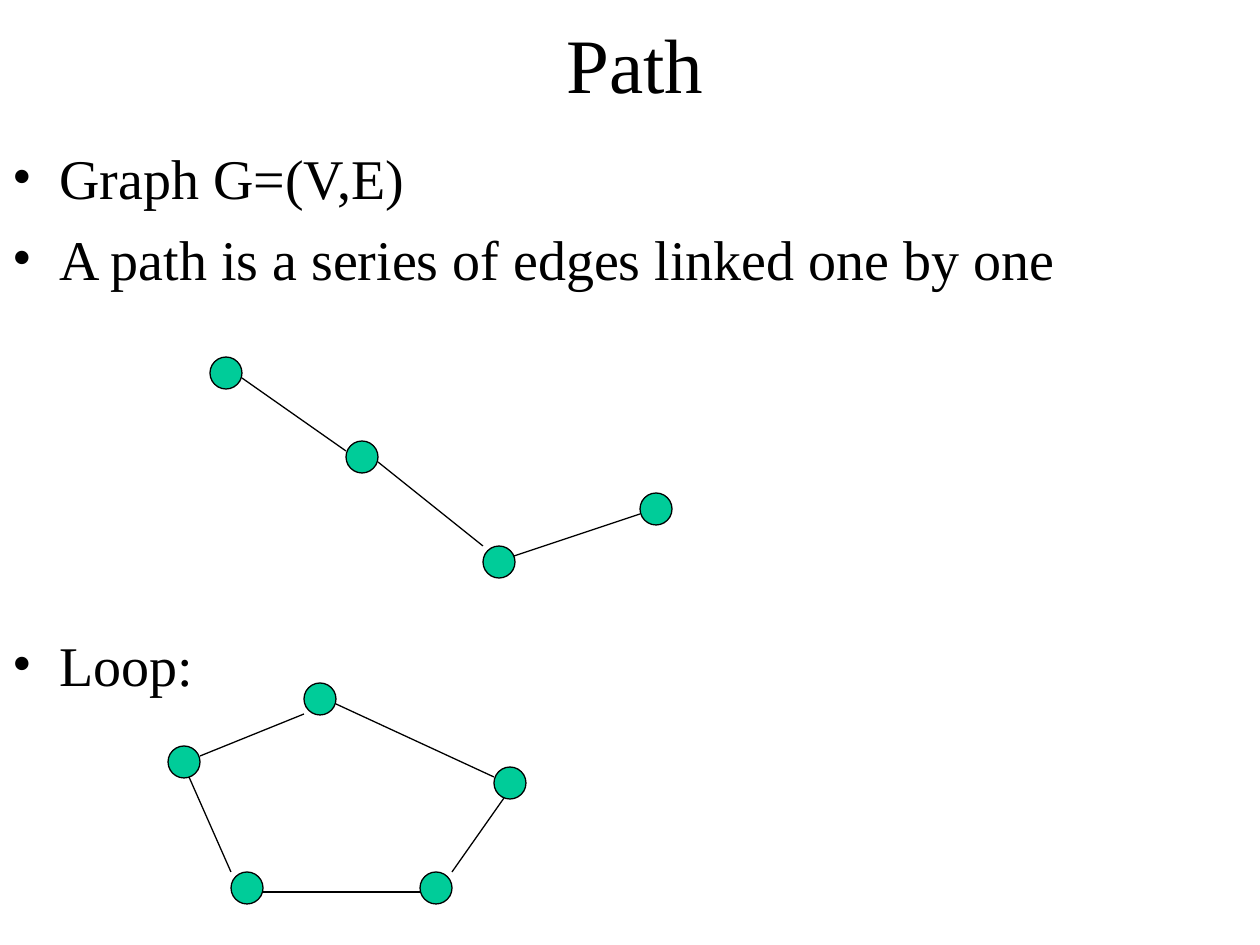
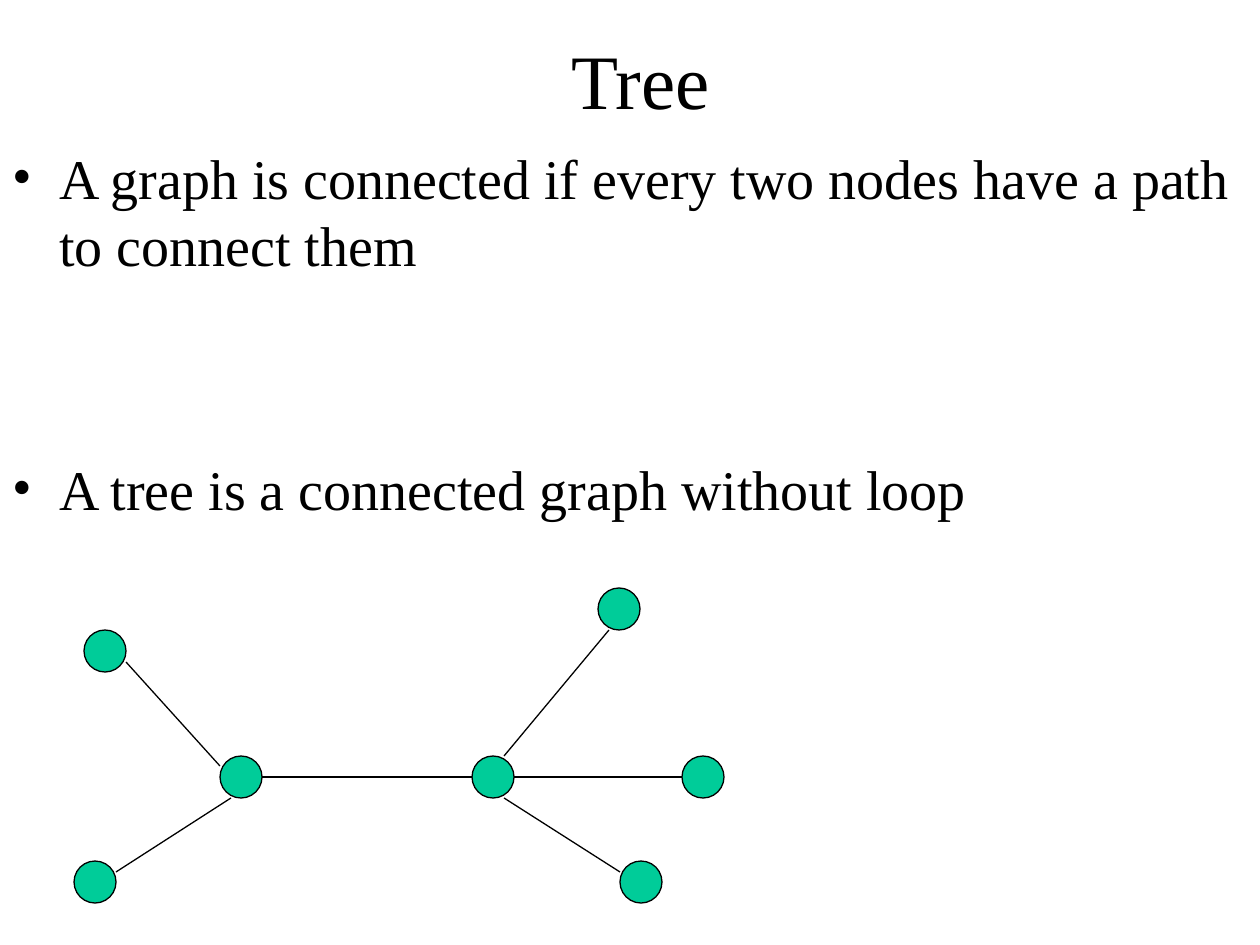
from lxml.etree import SubElement
from pptx import Presentation
from pptx.dml.color import RGBColor
from pptx.enum.shapes import MSO_CONNECTOR as CONN, MSO_SHAPE as SHAPE
from pptx.enum.text import MSO_ANCHOR as ANCHOR, MSO_AUTO_SIZE as AUTO, PP_ALIGN as ALIGN
from pptx.oxml.ns import qn
from pptx.util import Pt

PX_PER_INCH = 126
BLACK = RGBColor(0x00, 0x00, 0x00)
GREEN = RGBColor(0x00, 0xCC, 0x99)
FONT = "Times New Roman"
TITLE_ONLY = 5
BODY_BOX = (0, 137, 1260, 808)
BULLET_INDENT = 47
BODY_SIZE = 32
LINE_HEIGHT = 38.4
PARAGRAPH_GAP = 8

PATH_NODES = [(210, 357), (346, 441), (483, 546), (640, 493)]
PATH_EDGES = [(242, 378, 346, 451), (378, 462, 483, 546), (514, 556, 640, 514)]
LOOP_NODES = [(168, 746), (231, 872), (304, 683), (494, 767), (420, 872)]
LOOP_EDGES = [(200, 756, 304, 714), (336, 704, 494, 777), (504, 798, 452, 872),
              (420, 892, 262, 892), (231, 872, 189, 777)]
TREE_NODES = [(84, 630), (220, 756), (74, 861), (472, 756),
              (598, 588), (682, 756), (620, 861)]
TREE_EDGES = [(126, 662, 220, 766), (116, 872, 231, 798), (262, 777, 472, 777),
              (504, 756, 609, 630), (514, 777, 682, 777), (504, 798, 620, 872)]


def px(n):
    """Turn pixels into EMU."""
    return round(n * 914400 / PX_PER_INCH)


def set_bullet(p):
    """Give a paragraph a hanging round bullet."""
    pPr = p._p.get_or_add_pPr()
    pPr.set("marL", str(px(BULLET_INDENT)))
    pPr.set("indent", str(-px(BULLET_INDENT)))
    SubElement(pPr, qn("a:buFont"), typeface=FONT)
    SubElement(pPr, qn("a:buChar"), char="•")


def write(p, text, size=BODY_SIZE, color=BLACK, align=ALIGN.LEFT, bullet=False,
          before=0, line_height=None):
    """Write formatted text into a paragraph."""
    if bullet:
        set_bullet(p)
    p.alignment = align
    p.space_before = Pt(before)
    if line_height:
        p.line_spacing = Pt(line_height)
    r = p.add_run()
    r.text = text
    r.font.name = FONT
    r.font.size = Pt(size)
    r.font.color.rgb = color


def add_titled_slide(prs, text, box):
    """Add a slide and place its title."""
    s = prs.slides.add_slide(prs.slide_layouts[TITLE_ONLY])
    sp = s.shapes.title
    sp.left, sp.top, sp.width, sp.height = map(px, box)
    tf = sp.text_frame
    tf.auto_size = AUTO.NONE
    tf.vertical_anchor = ANCHOR.MIDDLE
    write(tf.paragraphs[0], text, size=44, align=ALIGN.CENTER)
    return s


def add_bullets(s, items):
    """Add bulleted text from pairs of text and lines left free above it."""
    tf = s.shapes.add_textbox(*map(px, BODY_BOX)).text_frame
    tf.word_wrap = True
    for i, (text, free_lines) in enumerate(items):
        p = tf.add_paragraph() if i else tf.paragraphs[0]
        gap = PARAGRAPH_GAP + free_lines * (LINE_HEIGHT + PARAGRAPH_GAP)
        write(p, text, bullet=True, before=gap if i else 0, line_height=LINE_HEIGHT)


def add_node(s, left, top, size):
    """Add a round graph node."""
    sp = s.shapes.add_shape(SHAPE.OVAL, px(left), px(top), px(size), px(size))
    sp.shadow.inherit = False
    sp.fill.solid()
    sp.fill.fore_color.rgb = GREEN
    sp.line.color.rgb = BLACK
    sp.line.width = Pt(0.75)


def add_edge(s, *ends):
    """Add a straight graph edge."""
    cxn = s.shapes.add_connector(CONN.STRAIGHT, *map(px, ends))
    cxn.line.color.rgb = BLACK
    cxn.line.width = Pt(0.75)
    SubElement(cxn._element.spPr, qn("a:effectLst"))


def add_graph(s, nodes, edges, size):
    """Draw the nodes and edges of one graph."""
    for node in nodes:
        add_node(s, *node, size)
    for edge in edges:
        add_edge(s, *edge)


def build_path_slide(prs):
    """Build the slide on paths and loops."""
    s = add_titled_slide(prs, "Path", (94, 0, 1082, 126))
    add_bullets(s, [("Graph G=(V,E)", 0),
                    ("A path is a series of edges linked one by one", 0),
                    ("Loop:", 4)])
    add_graph(s, PATH_NODES, PATH_EDGES, 32)
    add_graph(s, LOOP_NODES, LOOP_EDGES, 32)


def build_tree_slide(prs):
    """Build the slide on trees."""
    s = add_titled_slide(prs, "Tree", (105, 0, 1071, 158))
    add_bullets(s, [("A graph is connected if every two nodes have a path to connect them", 0),
                    ("A tree is a connected graph without loop", 2)])
    add_graph(s, TREE_NODES, TREE_EDGES, 42)


def main():
    """Build and save the presentation."""
    prs = Presentation()
    prs.slide_width, prs.slide_height = px(1260), px(945)
    build_path_slide(prs)
    build_tree_slide(prs)
    prs.save("out.pptx")


if __name__ == "__main__":
    main()
